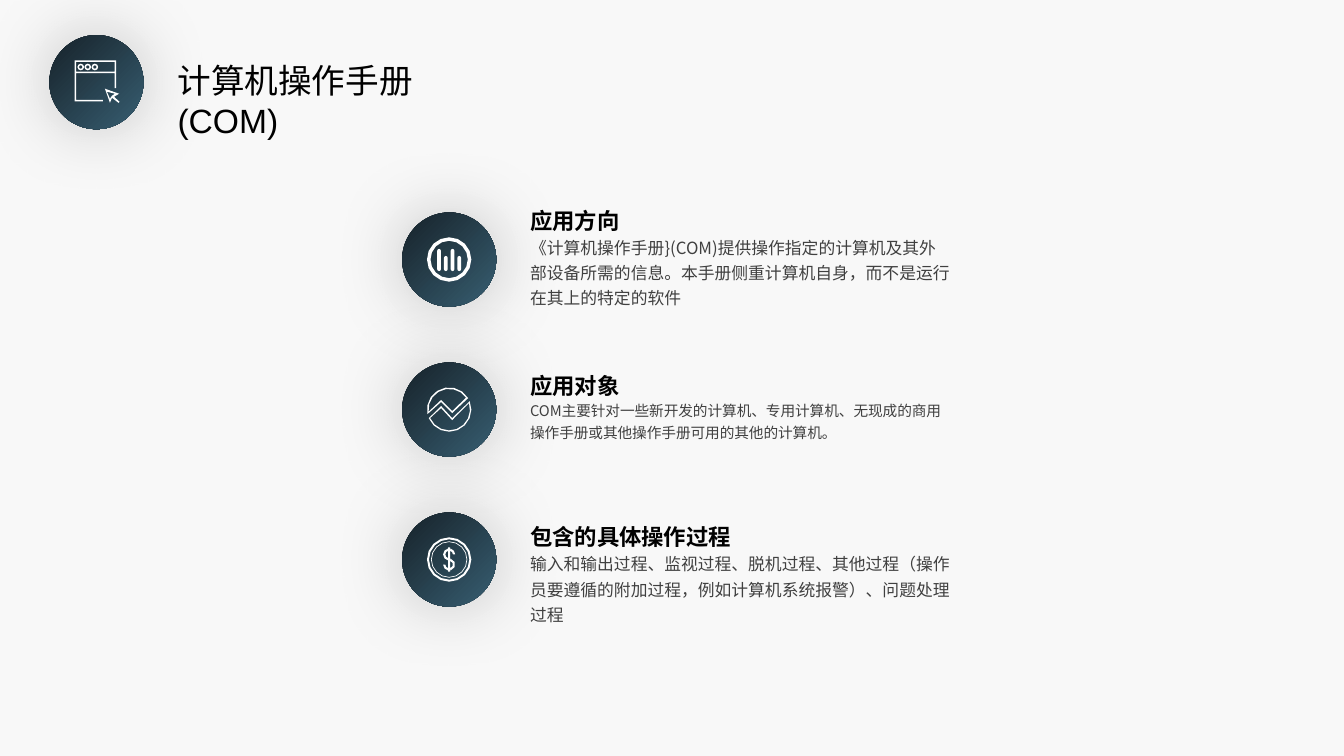
from dataclasses import dataclass
from math import cos, radians, sin

from lxml import etree
from pptx import Presentation
from pptx.dml.color import RGBColor
from pptx.enum.shapes import MSO_SHAPE
from pptx.enum.text import MSO_ANCHOR, MSO_AUTO_SIZE, PP_ALIGN
from pptx.oxml.ns import qn
from pptx.util import Cm, Pt

OVAL = MSO_SHAPE.OVAL
TOP = MSO_ANCHOR.TOP
FIT_SHAPE = MSO_AUTO_SIZE.SHAPE_TO_FIT_TEXT
LEFT = PP_ALIGN.LEFT

COLORS = {"background": "F8F8F8", "disc_dark": "17232B", "disc_light": "395F72",
          "icon": "FFFFFF", "shadow": "000000", "heading": "000000", "body": "404040"}
TITLE_FONT = "Arial"
TEXT_FONT = "Noto Sans CJK SC"
DISC_SIZE = 2.37
DISC_X = 11.32
FIRST_DISC_Y, DISC_PITCH = 6.54, 3.78
TEXT_X = 13.11
BODY_OFFSET = 0.78
ICON_UNIT = Cm(0.0254)

Contour = list[tuple[float, float]]


@dataclass
class Section:
    heading: str
    body: str
    body_size: float
    top: float
    body_height: float
    icon: list[Contour]


def arc(r: float, start: float, end: float, cx: float = 0, cy: float = 0) -> Contour:
    """Points along an arc; degrees run clockwise from the right."""
    steps = max(2, round(abs(end - start) / (22.5 if r > 10 else 45)))
    angles = [radians(start + (end - start) * i / steps) for i in range(steps + 1)]
    return [(cx + r * cos(a), cy + r * sin(a)) for a in angles]


def ring(outer: float, inner: float, cx: float = 0, cy: float = 0) -> list[Contour]:
    return [arc(r, 0, 360, cx, cy)[:-1] for r in (outer, inner)]


def crescent(start: float, end: float, cy: float) -> Contour:
    return arc(6, start, end, 0, cy) + arc(3.8, end, start, 0, cy)


def capsule(cx: float, top: float, bottom: float, r: float) -> Contour:
    return arc(r, 180, 360, cx, top + r) + arc(r, 0, 180, cx, bottom - r)


def browser_icon() -> list[Contour]:
    frame = [(-21.5, -21.5), (19.5, -21.5), (19.5, 6), (18, 6), (18, -9), (-20, -9),
             (-20, 17.5), (6.5, 17.5), (6.5, 19), (-21.5, 19)]
    title_bar = [(-20, -20), (18, -20), (18, -10.5), (-20, -10.5)]
    cursor = [(8.5, 6.5), (22.5, 11.5), (17.5, 14.5), (23, 19.5), (22, 20.5),
              (15.5, 15.5), (13.5, 20.5)]
    cursor_hole = [(10.5, 9.5), (13.5, 16.5), (15.5, 13.5), (18.5, 11.5)]
    buttons = [c for x in (-15.5, -8.5, -1.5) for c in ring(3.3, 1.7, x, -15)]
    return [frame, title_bar, cursor, cursor_hole] + buttons


def bars_icon() -> list[Contour]:
    bars = [(-10, -10.5), (-3.3, -3.5), (3.4, -10.5), (10, -3.5)]
    return ring(22, 18.5) + [capsule(x, top, 11.5, 1.8) for x, top in bars]


def trend_icon() -> list[Contour]:
    return [
        [(-21.5, 4.5), (-8, -7.5), (3, 3.5)] + arc(22, -31, -192),
        [(-8, -9.5), (3, 1.5)] + arc(20.5, -35, -186),
        [(3, 8.5), (-8, -3.5)] + arc(22, 157, -22),
        [(3, 10.5), (-8, -1.5)] + arc(20.7, 156, -18),
    ]


def coin_icon() -> list[Contour]:
    stem = [(-1, -12), (1, -12), (1, 12), (-1, 12)]
    dollar = [crescent(100, 260, -5), crescent(-75, 0, -5),
              crescent(-75, 75, 5), crescent(100, 180, 5)]
    return ring(22, 20) + ring(18, 17.3) + dollar + [stem]


def add_glow(shape) -> None:
    """Soft shadow without offset."""
    shape.shadow.inherit = False
    effects = shape._element.spPr.find(qn("a:effectLst"))
    shadow = etree.SubElement(effects, qn("a:outerShdw"), blurRad=str(Pt(53)), dist="0",
                              dir="0", algn="ctr", rotWithShape="0")
    color = etree.SubElement(shadow, qn("a:srgbClr"), val=COLORS["shadow"])
    etree.SubElement(color, qn("a:alpha"), val="20000")


def add_badge(s, x: float, y: float, icon: list[Contour]) -> None:
    """Gradient disc centred on x, y with a white icon."""
    shapes = s.shapes.add_group_shape().shapes
    r = DISC_SIZE / 2
    disc = shapes.add_shape(OVAL, Cm(x - r), Cm(y - r), Cm(DISC_SIZE), Cm(DISC_SIZE))
    disc.fill.gradient()
    disc.fill.gradient_angle = 315
    for stop, name, position in zip(disc.fill.gradient_stops, ("disc_dark", "disc_light"), (0, 1)):
        stop.color.rgb = RGBColor.from_string(COLORS[name])
        stop.position = position

    contours = [[(px * ICON_UNIT, py * ICON_UNIT) for px, py in c] for c in icon]
    builder = shapes.build_freeform(*contours[0][0])
    for i, c in enumerate(contours):
        if i:
            builder.move_to(*c[0])
        builder.add_line_segments(c[1:], close=True)
    glyph = builder.convert_to_shape(Cm(x), Cm(y))
    glyph.fill.solid()
    glyph.fill.fore_color.rgb = RGBColor.from_string(COLORS["icon"])
    for shape in (disc, glyph):
        shape.line.fill.background()
        add_glow(shape)


def write(shape, text: str, size: float, color: str, font: str,
          spacing: float = 1.0, bold: bool = False) -> None:
    tf = shape.text_frame
    tf.text = text
    tf.word_wrap = True
    tf.auto_size = FIT_SHAPE
    tf.vertical_anchor = TOP
    p = tf.paragraphs[0]
    p.alignment = LEFT
    p.line_spacing = spacing
    r = p.runs[0]
    r.font.size = Pt(size)
    r.font.bold = bold
    r.font.name = font
    r.font.color.rgb = RGBColor.from_string(COLORS[color])
    etree.SubElement(r.font._element, qn("a:ea"), typeface=font)


def add_section(s, section: Section, disc_y: float) -> None:
    add_badge(s, DISC_X, disc_y, section.icon)
    shapes = s.shapes.add_group_shape().shapes
    body = shapes.add_textbox(Cm(TEXT_X), Cm(section.top + BODY_OFFSET),
                              Cm(11.13), Cm(section.body_height))
    write(body, section.body, section.body_size, "body", TEXT_FONT, 1.25)
    heading = shapes.add_textbox(Cm(TEXT_X), Cm(section.top), Cm(5.69), Cm(1.07))
    write(heading, section.heading, 16, "heading", TEXT_FONT, 1.2, bold=True)


SECTIONS = [
    Section("应用方向",
            "《计算机操作手册}(COM)提供操作指定的计算机及其外部设备所需的信息。"
            "本手册侧重计算机自身，而不是运行在其上的特定的软件",
            12, 4.95, 2.18, bars_icon()),
    Section("应用对象",
            "COM主要针对一些新开发的计算机、专用计算机、无现成的商用操作手册"
            "或其他操作手册可用的其他的计算机。",
            10.5, 9.12, 1.37, trend_icon()),
    Section("包含的具体操作过程",
            "输入和输出过程、监视过程、脱机过程、其他过程（操作员要遵循的附加过程，"
            "例如计算机系统报警）、问题处理过程",
            12, 12.93, 2.18, coin_icon()),
]


def main() -> None:
    prs = Presentation()
    prs.slide_width, prs.slide_height = Cm(33.87), Cm(19.05)
    s = prs.slides.add_slide(prs.slide_layouts[5])
    s.background.fill.solid()
    s.background.fill.fore_color.rgb = RGBColor.from_string(COLORS["background"])

    add_badge(s, 2.43, 2.07, browser_icon())
    title = s.shapes.title
    title.left, title.top, title.width, title.height = Cm(4.22), Cm(1.37), Cm(8.8), Cm(1.27)
    write(title, "计算机操作手册(COM)", 24, "heading", TITLE_FONT)
    for i, section in enumerate(SECTIONS):
        add_section(s, section, FIRST_DISC_Y + i * DISC_PITCH)
    prs.save("out.pptx")


if __name__ == "__main__":
    main()
